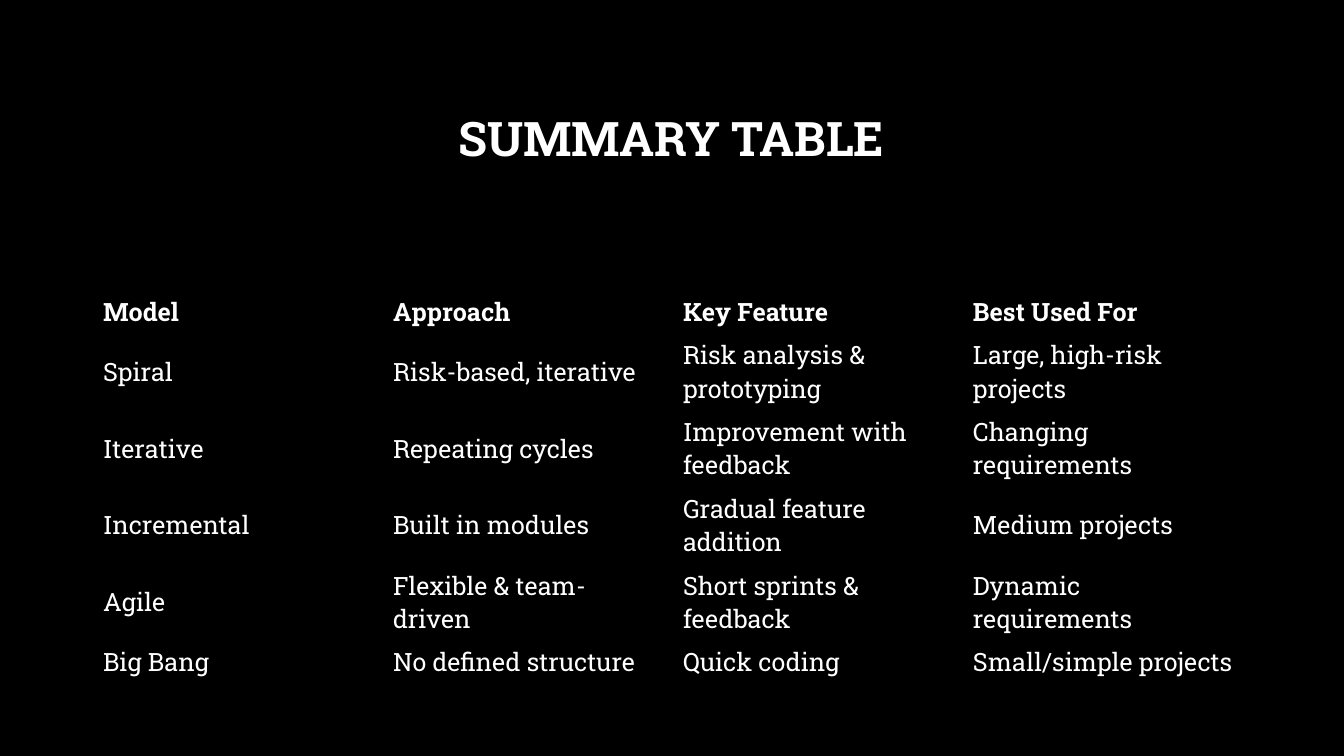
from pptx import Presentation
from pptx.dml.color import RGBColor
from pptx.enum.text import MSO_ANCHOR, PP_ALIGN
from pptx.oxml.ns import qn
from pptx.util import Pt

MIDDLE = MSO_ANCHOR.MIDDLE
CENTER = PP_ALIGN.CENTER
PX = 914400 / 100.8
FONT = "Roboto Slab"
BLACK, WHITE = "000000", "FFFFFF"
NO_GRID_STYLE = "{2D5ABB26-0587-4C30-8999-92F81FD0307C}"

ROWS = [
    ("Model", "Approach", "Key Feature", "Best Used For"),
    ("Spiral", "Risk-based, iterative", "Risk analysis & prototyping", "Large, high-risk projects"),
    ("Iterative", "Repeating cycles", "Improvement with feedback", "Changing requirements"),
    ("Incremental", "Built in modules", "Gradual feature addition", "Medium projects"),
    ("Agile", "Flexible & team-driven", "Short sprints & feedback", "Dynamic requirements"),
    ("Big Bang", "No defined structure", "Quick coding", "Small/simple projects"),
]
ROW_HEIGHTS = [43, 76, 76, 76, 76, 43]
COLUMN_WIDTH = 290


def px(length):
    return round(length * PX)


def style_font(para, size, bold, color=WHITE):
    para.font.name = FONT
    para.font.size = Pt(size)
    para.font.bold = bold
    para.font.color.rgb = RGBColor.from_string(color)


# Deck and background
deck = Presentation()
deck.slide_width, deck.slide_height = px(1344), px(756)
page = deck.slides.add_slide(deck.slide_layouts[5])
page.background.fill.solid()
page.background.fill.fore_color.rgb = RGBColor.from_string(BLACK)

# Title
title = page.shapes.title
title.left, title.top, title.width, title.height = px(101), px(68), px(1141), px(146)
title.text_frame.text = "SUMMARY TABLE"
title.text_frame.vertical_anchor = MIDDLE
para = title.text_frame.paragraphs[0]
para.alignment = CENTER
para.line_spacing = 0.9
style_font(para, 34, True)

# Summary table without grid or banding
frame = page.shapes.add_table(
    len(ROWS), len(ROWS[0]), px(93), px(290),
    px(COLUMN_WIDTH * len(ROWS[0])), px(sum(ROW_HEIGHTS)))
table = frame.table
table.horz_banding = False
table._tbl.tblPr.find(qn("a:tableStyleId")).text = NO_GRID_STYLE
for column in table.columns:
    column.width = px(COLUMN_WIDTH)
for row_index, (words, height) in enumerate(zip(ROWS, ROW_HEIGHTS)):
    table.rows[row_index].height = px(height)
    for column_index, text in enumerate(words):
        cell = table.cell(row_index, column_index)
        cell.text = text
        cell.vertical_anchor = MIDDLE
        cell.fill.background()
        style_font(cell.text_frame.paragraphs[0], 18, row_index == 0)

deck.save("out.pptx")
